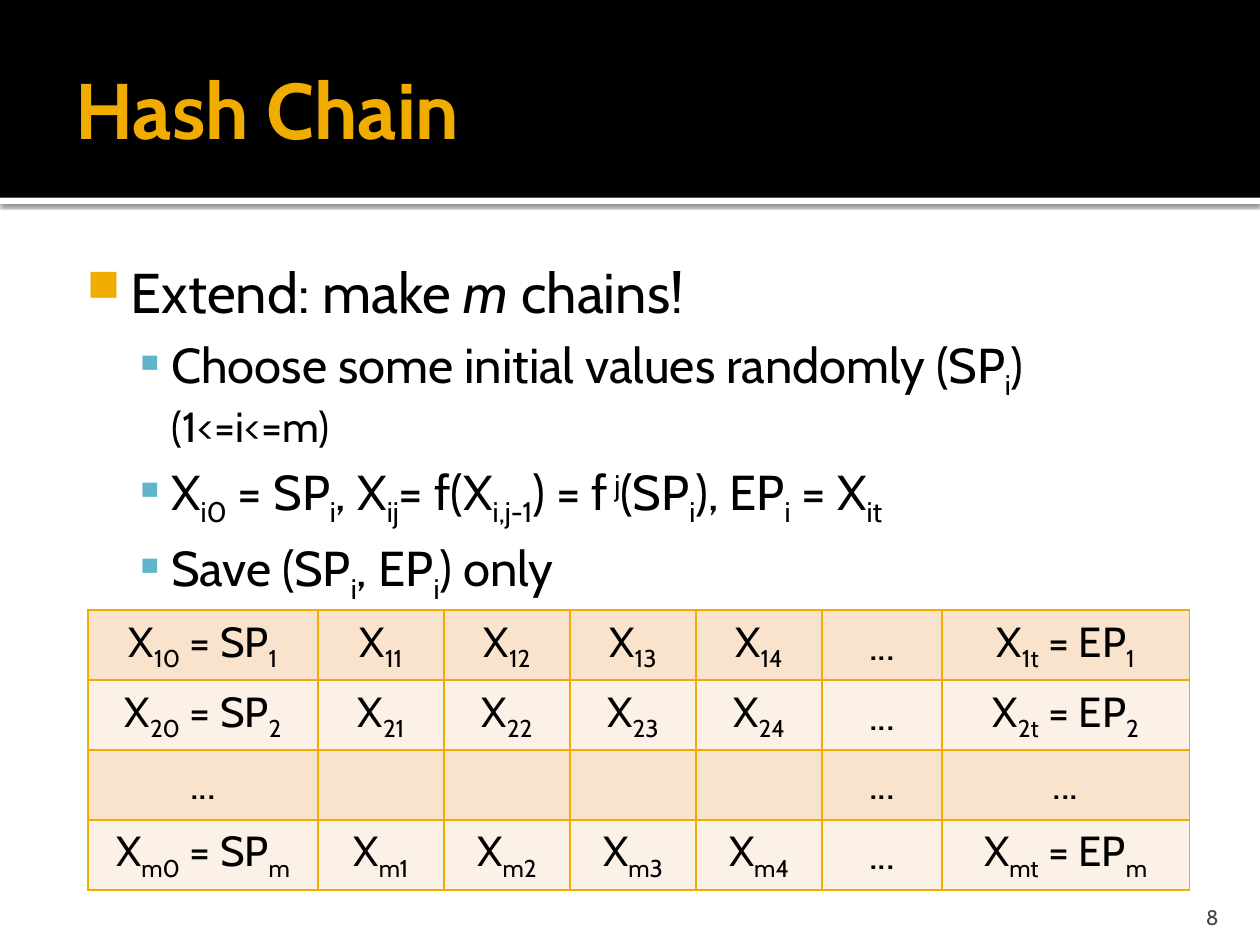
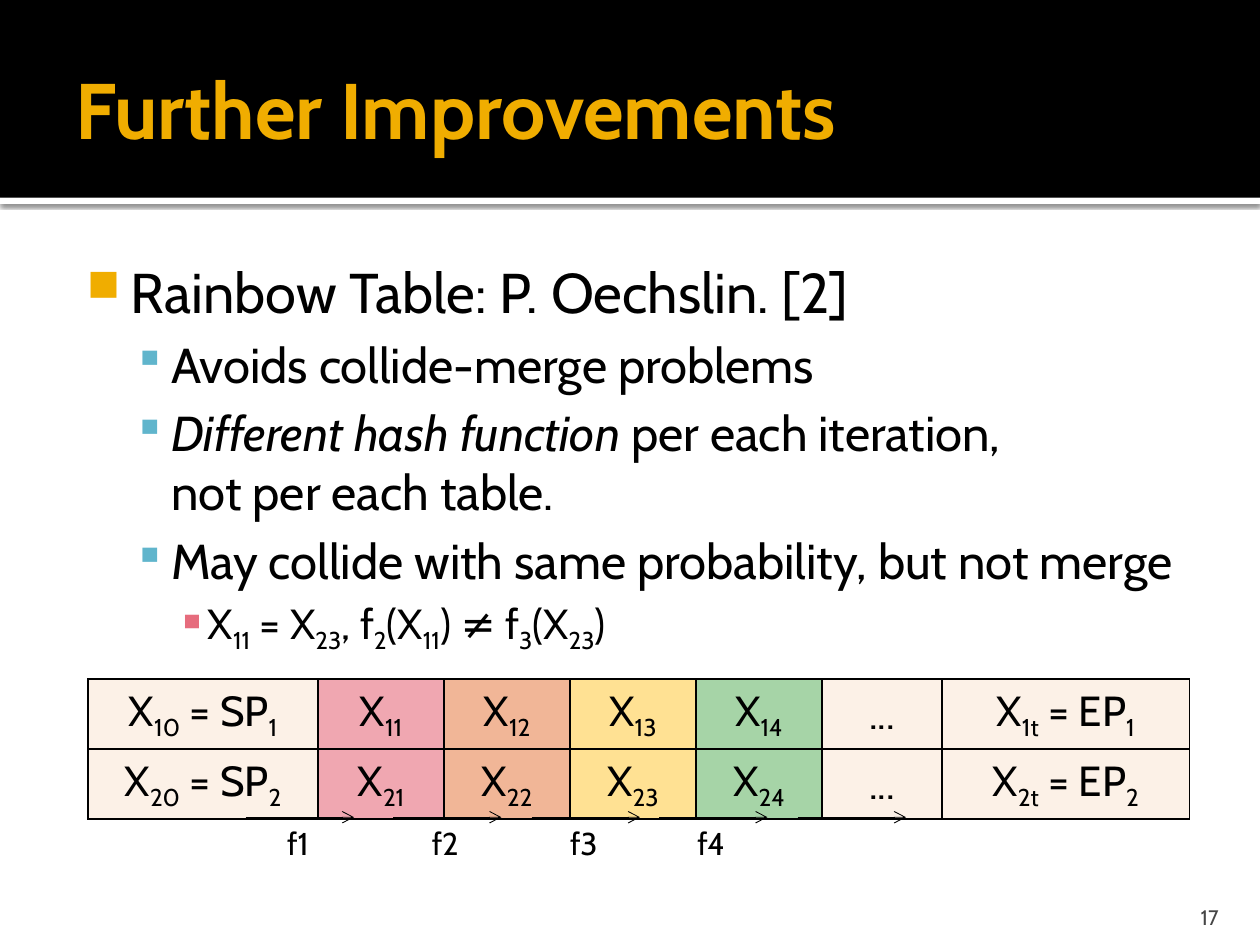
import pptx
import pptx.util
import pptx.dml.color
import pptx.enum.shapes
import pptx.enum.text
import pptx.oxml
import pptx.oxml.ns
from lxml import etree

Pt = pptx.util.Pt
RGB = pptx.dml.color.RGBColor
ALIGN = pptx.enum.text.PP_ALIGN
ANCHOR = pptx.enum.text.MSO_ANCHOR
SHAPE = pptx.enum.shapes.MSO_SHAPE

GOLD = RGB(0xF0, 0xAD, 0x00)
TEAL = RGB(0x60, 0xB5, 0xCC)
ROSE = RGB(0xE6, 0x6C, 0x7D)
BLACK = RGB(0x00, 0x00, 0x00)
WHITE = RGB(0xFF, 0xFF, 0xFF)
GREY = RGB(0x45, 0x45, 0x45)
PEACH = RGB(0xF9, 0xE3, 0xCC)
CREAM = RGB(0xFC, 0xF1, 0xE7)
PINK = RGB(0xF0, 0xA7, 0xB1)
ORANGE = RGB(0xF1, 0xB6, 0x97)
YELLOW = RGB(0xFF, 0xE1, 0x93)
GREEN = RGB(0xA6, 0xD4, 0xA7)

FONT = "Cabin"
WIDTH, HEIGHT = 720, 540
BAND_BOX = (0, 0, WIDTH, 113)
TITLE_BOX = (36, 12.24, 648, 98.64)
BODY_BOX = (36, 139.68, 648, 364.32)
NUMBER_BOX = (645.84, 509.76, 57.6, 21.6)
COLUMNS = [131.4, 72, 72, 72, 72, 68.4, 141.6]
ROW_HEIGHT = 39.86
LEVELS = [
    (32, 34.56, -25.2, "■", GOLD, 80),
    (28, 57.6, -21.6, "▪", TEAL, 90),
    (24, 78.48, -18, "▪", ROSE, 100),
]
BASELINES = {"_": "-25000", "^": "30000"}


def add_xml(parent, xml):
    ns = pptx.oxml.ns.nsdecls("a")
    tag, rest = xml[:xml.index(" ")], xml[xml.index(" "):]
    parent.append(pptx.oxml.parse_xml(f"{tag} {ns}{rest}"))


def add_marked_runs(p, text):
    for i, piece in enumerate(text.split("|")):
        mark, words = (piece[0], piece[1:]) if i % 2 else ("", piece)
        for j, line in enumerate(words.split("\n")):
            if j:
                p.add_line_break()
            if not line:
                continue
            r = p.add_run()
            r.text = line
            if mark in BASELINES:
                r._r.get_or_add_rPr().set("baseline", BASELINES[mark])
            elif mark == "*":
                r.font.italic = True
            elif mark == "-":
                r.font.size = Pt(24)


def set_font(p, size, color=BLACK, bold=None):
    p.font.name = FONT
    p.font.size = Pt(size)
    p.font.color.rgb = color
    p.font.bold = bold


def add_text_box(shapes, box, insets, anchor=ANCHOR.TOP, wrap=True):
    tf = shapes.add_textbox(*map(Pt, box)).text_frame
    tf.word_wrap = wrap
    tf.vertical_anchor = anchor
    tf.margin_left, tf.margin_top, tf.margin_right, tf.margin_bottom = map(Pt, insets)
    return tf


def add_rect(s, box, color):
    sp = s.shapes.add_shape(SHAPE.RECTANGLE, *map(Pt, box))
    sp.shadow.inherit = False
    sp.fill.solid()
    sp.fill.fore_color.rgb = color
    sp.line.fill.background()
    return sp


def add_header(s, box, title):
    x, y, w, h = box
    strip = add_rect(s, (x, y + h, w, 3.6), WHITE)
    effects = strip._element.spPr.find(pptx.oxml.ns.qn("a:effectLst"))
    add_xml(effects, f'<a:outerShdw blurRad="{Pt(2.5)}" dist="{Pt(0.8)}" dir="5400000">'
                     '<a:srgbClr val="000000"><a:alpha val="60000"/></a:srgbClr></a:outerShdw>')
    add_rect(s, box, BLACK)
    tf = add_text_box(s.shapes, TITLE_BOX, (7.2, 3.6, 3.6, 3.6), ANCHOR.MIDDLE)
    p = tf.paragraphs[0]
    add_marked_runs(p, title)
    set_font(p, 45, GOLD, True)


def add_page_number(s, box, number):
    tf = add_text_box(s.shapes, box, (7.2, 3.6, 7.2, 0), ANCHOR.BOTTOM)
    p = tf.paragraphs[0]
    p.alignment = ALIGN.RIGHT
    add_marked_runs(p, str(number))
    set_font(p, 12, GREY)


def add_bullets(s, box, items):
    tf = add_text_box(s.shapes, box, (4.32, 7.2, 7.2, 3.6))
    for i, (level, text) in enumerate(items):
        size, margin, indent, bullet, color, percent = LEVELS[level]
        p = tf.add_paragraph() if i else tf.paragraphs[0]
        p.level = level
        pPr = p._p.get_or_add_pPr()
        pPr.set("marL", str(Pt(margin)))
        pPr.set("indent", str(Pt(indent)))
        add_xml(pPr, f'<a:buClr ><a:srgbClr val="{color}"/></a:buClr>')
        add_xml(pPr, f'<a:buSzPct val="{percent * 1000}"/>')
        add_xml(pPr, f'<a:buChar char="{bullet}"/>')
        if i:
            p.space_before = Pt(size * 0.2)
        add_marked_runs(p, text)
        set_font(p, size)


def chain_row(chain):
    links = [f"X|_{chain}{step}|" for step in range(1, 5)]
    return [f"X|_{chain}0| = SP|_{chain}|", *links, "...", f"X|_{chain}t| = EP|_{chain}|"]


def add_chain_table(s, left, top, rows, fills, border):
    frame = s.shapes.add_table(len(rows), len(COLUMNS), Pt(left), Pt(top),
                               Pt(sum(COLUMNS)), Pt(ROW_HEIGHT * len(rows)))
    table = frame.table
    table.first_row = table.horz_banding = False
    for column, width in zip(table.columns, COLUMNS):
        column.width = Pt(width)
    for i, row in enumerate(rows):
        table.rows[i].height = Pt(ROW_HEIGHT)
        for j, text in enumerate(row):
            cell = table.cell(i, j)
            cell.vertical_anchor = ANCHOR.MIDDLE
            for side in "LRTB":
                add_xml(cell._tc.get_or_add_tcPr(),
                        f'<a:ln{side} w="{Pt(1)}"><a:solidFill><a:srgbClr val="{border}"/>'
                        f'</a:solidFill></a:ln{side}>')
            cell.fill.solid()
            cell.fill.fore_color.rgb = fills[i][j]
            p = cell.text_frame.paragraphs[0]
            p.alignment = ALIGN.CENTER
            add_marked_runs(p, text)
            set_font(p, 24)


def add_step_arrow(shapes, x, y):
    line = shapes.add_connector(pptx.enum.shapes.MSO_CONNECTOR.STRAIGHT,
                                Pt(x), Pt(y), Pt(x + 61.92), Pt(y))
    line.line.color.rgb = BLACK
    line.line.width = Pt(0.5)
    add_xml(line.line._get_or_add_ln(), '<a:tailEnd type="arrow"/>')
    etree.SubElement(line._element.spPr, pptx.oxml.ns.qn("a:effectLst"))


def add_function_step(s, x, y, name):
    shapes = s.shapes.add_group_shape().shapes
    tf = add_text_box(shapes, (x + 14.4, y, 30.96, 28.8), (7.2, 3.6, 7.2, 3.6),
                      ANCHOR.MIDDLE, False)
    p = tf.paragraphs[0]
    p.alignment = ALIGN.CENTER
    add_marked_runs(p, name)
    set_font(p, 18)
    add_step_arrow(shapes, x, y)


def add_content_slide(prs, title, items, number):
    s = prs.slides.add_slide(prs.slide_layouts[6])
    add_header(s, BAND_BOX, title)
    add_bullets(s, BODY_BOX, items)
    add_page_number(s, NUMBER_BOX, number)
    return s


def build_hash_chain(prs):
    s = add_content_slide(prs, "Hash Chain", [
        (0, "Extend: make |*m| chains!"),
        (1, "Choose some initial values randomly (SP|_i|) |-(1<=i<=m)|"),
        (1, "X|_i0| = SP|_i|, X|_ij|= f(X|_i,j-1|) = f|^ j|(SP|_i|), EP|_i| = X|_it|"),
        (1, "Save (SP|_i|, EP|_i|) only"),
    ], 8)
    gap_row = ["...", "", "", "", "", "...", "..."]
    rows = [chain_row(1), chain_row(2), gap_row, chain_row("m")]
    fills = [[color] * len(COLUMNS) for color in (PEACH, CREAM) * 2]
    add_chain_table(s, 50.4, 348.6, rows, fills, GOLD)


def build_improvements(prs):
    s = add_content_slide(prs, "Further Improvements", [
        (0, "Rainbow Table: P. Oechslin. [2]"),
        (1, "Avoids collide-merge problems"),
        (1, "|*Different hash function |per each iteration,\nnot per each table."),
        (1, "May collide with same probability, but not merge"),
        (2, "X|_11| = X|_23|, f|_2|(X|_11|) ≠ f|_3|(X|_23|)"),
    ], 17)
    fills = [[CREAM, PINK, ORANGE, YELLOW, GREEN, CREAM, CREAM]] * 2
    add_chain_table(s, 50.4, 388, [chain_row(1), chain_row(2)], fills, BLACK)
    arrow_y = 467
    for i, x in enumerate([140.4, 224.6, 303.8, 376.6], 1):
        add_function_step(s, x, arrow_y, f"f{i}")
    add_step_arrow(s.shapes, 455.8, arrow_y)


def main():
    prs = pptx.Presentation()
    prs.slide_width, prs.slide_height = Pt(WIDTH), Pt(HEIGHT)
    build_hash_chain(prs)
    build_improvements(prs)
    prs.save("out.pptx")


if __name__ == "__main__":
    main()
